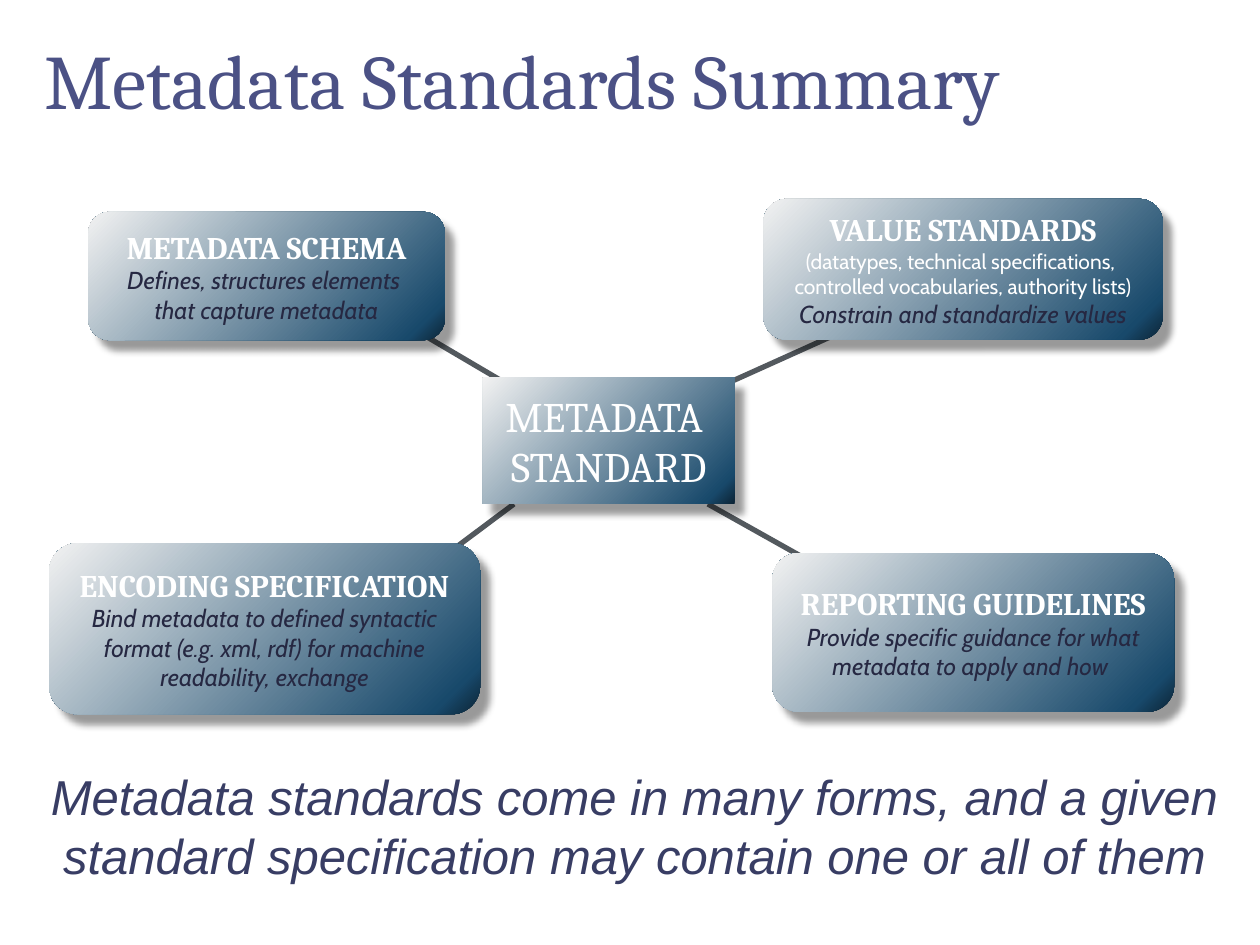
from copy import deepcopy

from pptx import Presentation
from pptx.dml.color import RGBColor as Rgb
from pptx.enum.shapes import MSO_CONNECTOR as Link, MSO_SHAPE as Form
from pptx.enum.text import MSO_ANCHOR as Anchor, MSO_AUTO_SIZE as Fit, PP_ALIGN as Align
from pptx.oxml import parse_xml
from pptx.oxml.ns import nsdecls, qn
from pptx.util import Cm, Pt

COLORS = {
    "title": "4B5185", "body": "383D64", "note": "262842", "white": "FFFFFF",
    "line": "53595E", "deep": "0C2435", "blue": "18496B", "pale": "F2F2F2",
    "shade": "000000",
}
STOPS = [("deep", 0), ("blue", 0.08), ("pale", 1)]

# Font formats; "color" is a key of COLORS
FONTS = {
    "title": dict(name="Cambria", size=Pt(44), color="title"),
    "body": dict(name="Arial", size=Pt(28), italic=True, color="body"),
    "hub": dict(name="Cambria", size=Pt(24), color="white"),
    "head": dict(name="Cambria", size=Pt(18), bold=True, color="white"),
    "list": dict(name="Cabin", size=Pt(12), color="white"),
    "note": dict(name="Cabin", size=Pt(14), italic=True, color="note"),
}

HUB = ((9.73, 7.62, 5.08, 2.54), [("hub", "METADATA "), ("hub", "STANDARD")])
BOXES = [
    ((1.78, 4.27, 7.19, 2.59), [
        ("head", "METADATA SCHEMA"),
        ("note", "Defines, structures elements "),
        ("note", "that capture metadata")]),
    ((15.39, 4.01, 8.05, 2.84), [
        ("head", "VALUE STANDARDS"),
        ("list", "(datatypes, technical specifications, "),
        ("list", "controlled vocabularies, authority lists)"),
        ("note", "Constrain and standardize values")]),
    ((15.57, 11.15, 8.1, 3.2), [
        ("head", "REPORTING GUIDELINES"),
        ("note", "Provide specific guidance for what metadata to apply and how ")]),
    ((0.99, 10.95, 8.69, 3.45), [
        ("head", "ENCODING SPECIFICATION"),
        ("note", "Bind metadata to defined syntactic format (e.g. xml, rdf) "
                 "for machine readability, exchange")]),
]
LINKS = [
    (14.61, 7.75, 18.85, 5.84),
    (14.27, 10.16, 17.48, 11.96),
    (8.97, 11.2, 10.36, 10.16),
    (10.49, 7.9, 6.99, 5.84),
]


class Deck:
    def __init__(self):
        self.prs = Presentation()
        self.prs.slide_width, self.prs.slide_height = Cm(25.4), Cm(19.05)
        self.slide = self.prs.slides.add_slide(self.prs.slide_layouts[1])

    def rgb(self, key):
        return Rgb.from_string(COLORS[key])

    def text(self, frame, rows, align, anchor):
        frame.word_wrap, frame.auto_size = True, Fit.NONE
        frame.vertical_anchor = anchor
        for i, (kind, words) in enumerate(rows):
            para = frame.paragraphs[0] if i == 0 else frame.add_paragraph()
            para.alignment = align
            run = para.add_run()
            run.text = words
            for key, val in FONTS[kind].items():
                if key == "color":
                    run.font.color.rgb = self.rgb(val)
                else:
                    setattr(run.font, key, val)

    def place(self, shape, area):
        for key, val in zip(("left", "top", "width", "height"), area):
            setattr(shape, key, Cm(val))

    def title(self, area, words):
        shape = self.slide.shapes.title
        self.place(shape, area)
        self.text(shape.text_frame, [("title", words)], Align.LEFT, Anchor.MIDDLE)
        shape.text_frame.paragraphs[0].line_spacing = 0.9

    def body(self, area, words):
        shape = self.slide.placeholders[1]
        self.place(shape, area)
        self.text(shape.text_frame, [("body", words)], Align.CENTER, Anchor.TOP)
        para = shape.text_frame.paragraphs[0]
        para.space_before = para.space_after = Pt(9)
        props = para._p.get_or_add_pPr()
        props.set("marL", str(Cm(0.13)))
        props.set("indent", "0")
        props.append(parse_xml(f"<a:buNone {nsdecls('a')}/>"))

    def link(self, ends):
        line = self.slide.shapes.add_connector(Link.STRAIGHT, *map(Cm, ends))
        line.line.color.rgb = self.rgb("line")
        line.line.width = Pt(3)
        line._element.spPr.append(parse_xml(f"<a:effectLst {nsdecls('a')}/>"))

    def box(self, form, area, rows):
        shape = self.slide.shapes.add_shape(form, *map(Cm, area))
        shape.line.fill.background()
        self.blend(shape)
        self.shade(shape)
        self.text(shape.text_frame, rows, Align.CENTER, Anchor.MIDDLE)

    def blend(self, shape):
        """Fill with a gradient that runs from the lower right corner."""
        fill = shape.fill
        fill.gradient()
        fill.gradient_angle = 135
        stops = shape._element.spPr.find(qn("a:gradFill")).find(qn("a:gsLst"))
        stops.append(deepcopy(stops[-1]))
        for stop, (key, pos) in zip(fill.gradient_stops, STOPS):
            stop.color.rgb = self.rgb(key)
            stop.position = pos

    def shade(self, shape):
        """Cast a soft shadow to the lower right."""
        shape.shadow.inherit = False
        shape._element.spPr.find(qn("a:effectLst")).append(parse_xml(
            f'<a:outerShdw {nsdecls("a")} blurRad="{Pt(4)}" dist="{Pt(8)}" '
            f'dir="{50 * 60000}" algn="tl" rotWithShape="0">'
            f'<a:srgbClr val="{COLORS["shade"]}"><a:alpha val="40000"/></a:srgbClr>'
            '</a:outerShdw>'))


def main():
    deck = Deck()
    deck.title((0.64, 0.43, 24.16, 2.54), "Metadata Standards Summary")
    deck.body((0.64, 15.32, 24.16, 2.59),
              "Metadata standards come in many forms, and a given standard "
              "specification may contain one or all of them")
    for ends in LINKS:
        deck.link(ends)
    for area, rows in BOXES:
        deck.box(Form.ROUNDED_RECTANGLE, area, rows)
    deck.box(Form.RECTANGLE, *HUB)
    deck.prs.save("out.pptx")


if __name__ == "__main__":
    main()
